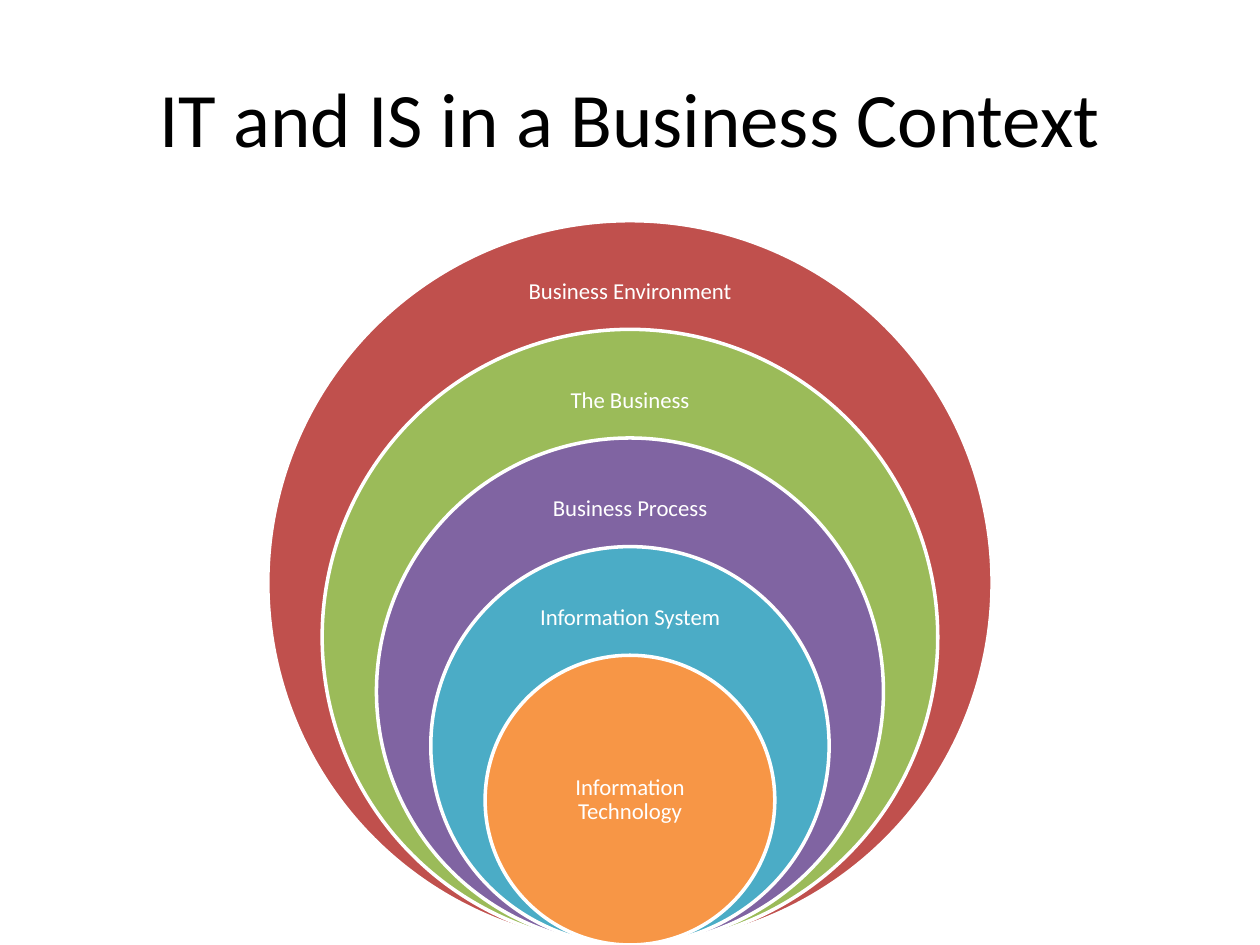
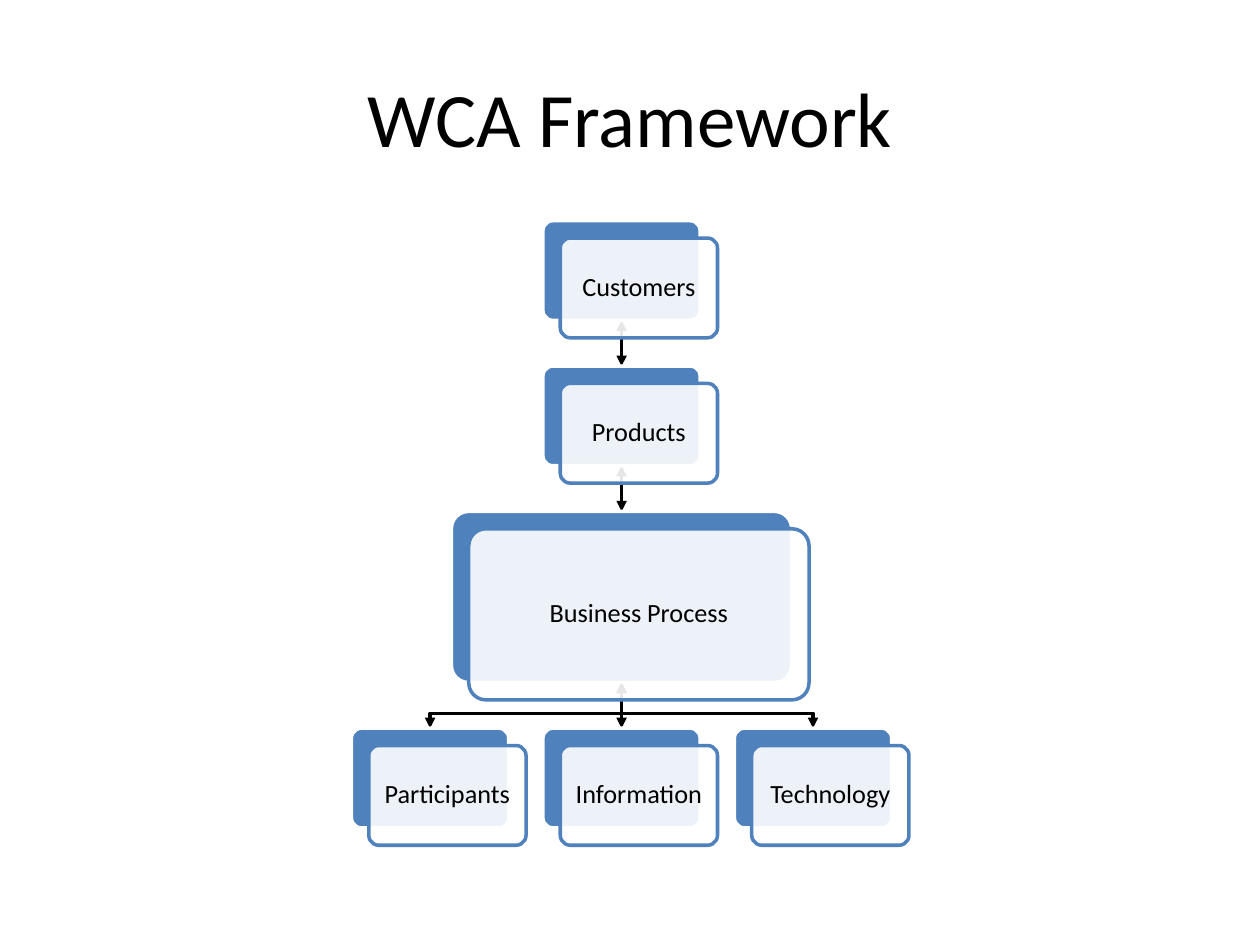
from lxml.etree import SubElement
from pptx import Presentation
from pptx.dml.color import RGBColor
from pptx.enum.shapes import MSO_CONNECTOR, MSO_SHAPE
from pptx.enum.text import MSO_ANCHOR, PP_ALIGN
from pptx.oxml.ns import qn
from pptx.util import Cm, Pt

BLACK, WHITE, BLUE = "000000", "FFFFFF", "4F81BD"


def paint(color, code):
    color.rgb = RGBColor.from_string(code)


def apply(item, values):
    for name, value in values.items():
        setattr(item, name, value)


class Deck:
    font = "Calibri"
    stroke = Pt(2)

    def __init__(self):
        self.file = Presentation()
        apply(self.file, {"slide_width": Cm(25.4), "slide_height": Cm(19.05)})
        self.slide = None

    def page(self, title):
        self.slide = self.file.slides.add_slide(self.file.slide_layouts[5])
        head = self.slide.shapes.title
        apply(head, {"left": Cm(1.27), "top": Cm(0.76),
                     "width": Cm(22.86), "height": Cm(3.18)})
        self.letter(head, title, 44, BLACK, space=1.0)

    def letter(self, shape, text, size, code, inset=0.25, space=0.9):
        frame = shape.text_frame
        pad = Cm(inset)
        apply(frame, {"text": text, "word_wrap": True,
                      "vertical_anchor": MSO_ANCHOR.MIDDLE,
                      "margin_left": pad, "margin_right": pad,
                      "margin_top": pad, "margin_bottom": pad})
        para = frame.paragraphs[0]
        apply(para, {"alignment": PP_ALIGN.CENTER, "line_spacing": space})
        apply(para.font, {"size": Pt(size), "name": self.font})
        paint(para.font.color, code)

    def label(self, x, y, w, h, text, size, code):
        box = self.slide.shapes.add_textbox(Cm(x), Cm(y), Cm(w), Cm(h))
        self.letter(box, text, size, code)

    def shape(self, kind, x, y, w, h, fill, line, alpha=None):
        item = self.slide.shapes.add_shape(kind, Cm(x), Cm(y), Cm(w), Cm(h))
        item.shadow.inherit = False
        item.fill.solid()
        paint(item.fill.fore_color, fill)
        if alpha:
            tint = item._element.spPr.find(qn("a:solidFill"))[0]
            SubElement(tint, qn("a:alpha"), val=str(alpha * 1000))
        paint(item.line.color, line)
        item.line.width = self.stroke
        return item

    def card(self, x, y, w, h, text, shift=0.35):
        """Draw a solid card with a translucent one in front; return the solid one."""
        kind = MSO_SHAPE.ROUNDED_RECTANGLE
        back = self.shape(kind, x, y, w, h, BLUE, WHITE)
        front = self.shape(kind, x + shift, y + shift, w, h, WHITE, BLUE, 90)
        for item in (back, front):
            item.adjustments[0] = 0.1
        self.letter(front, text, 15, BLACK, inset=0.15)
        return back

    def arrow(self, item):
        """Style a link with two arrowheads and put it just above the title."""
        paint(item.line.color, BLACK)
        item.line.width = self.stroke
        node = item._element
        edge = node.spPr.find(qn("a:ln"))
        for end in ("a:headEnd", "a:tailEnd"):
            SubElement(edge, qn(end), type="triangle")
        node.getparent().insert(3, node)

    def link(self, upper, lower):
        item = self.slide.shapes.add_connector(MSO_CONNECTOR.STRAIGHT, 0, 0, 0, 0)
        item.begin_connect(upper, 2)
        item.end_connect(lower, 0)
        self.arrow(item)
        SubElement(item._element.spPr, qn("a:effectLst"))

    def branch(self, points):
        spots = [(Cm(x), Cm(y)) for x, y in points]
        pen = self.slide.shapes.build_freeform(*spots[0])
        pen.add_line_segments(spots[1:], close=False)
        item = pen.convert_to_shape()
        item.fill.background()
        item.shadow.inherit = False
        self.arrow(item)


def draw_rings(deck):
    deck.page("IT and IS in a Business Context")
    mid, base, size, step = 12.7, 19.05, 14.6, 2.19
    rings = [("Business Environment", "C0504D", 5.49),
             ("The Business", "9BBB59", 5.36),
             ("Business Process", "8064A2", 5.28),
             ("Information System", "4BACC6", 4.34),
             ("Information Technology", "F79646", None)]
    for i, (text, fill, wide) in enumerate(rings):
        d = size - i * step
        top = base - d
        ring = deck.shape(MSO_SHAPE.OVAL, mid - d / 2, top, d, d, fill, WHITE)
        if wide:
            deck.label(mid - wide / 2, top + 0.72, wide, 1.44, text, 13, WHITE)
        else:
            deck.letter(ring, text, 13, WHITE)


def draw_frame(deck):
    deck.page("WCA Framework")
    mid, top, gap, pitch = 12.53, 4.45, 0.92, 3.86
    w, h = 3.17, 2.01

    # Stacked cards, top down
    stack = []
    for text, wide, high in [("Customers", w, h), ("Products", w, h),
                             ("Business Process", 6.86, 3.45)]:
        stack.append(deck.card(mid - wide / 2, top, wide, high, text))
        top += high + gap

    # Bottom row
    row = [deck.card(mid - w / 2 + i * pitch, top, w, h, text)
           for i, text in enumerate(["Participants", "Information", "Technology"], -1)]

    # Links behind the cards
    chain = stack + [row[1]]
    for upper, lower in zip(chain, chain[1:]):
        deck.link(upper, lower)
    start, bend = top - gap, top - 0.3
    for x in (mid - pitch, mid + pitch):
        deck.branch([(mid, start), (mid, bend), (x, bend), (x, top)])


def main():
    deck = Deck()
    draw_rings(deck)
    draw_frame(deck)
    deck.file.save("out.pptx")


if __name__ == "__main__":
    main()
